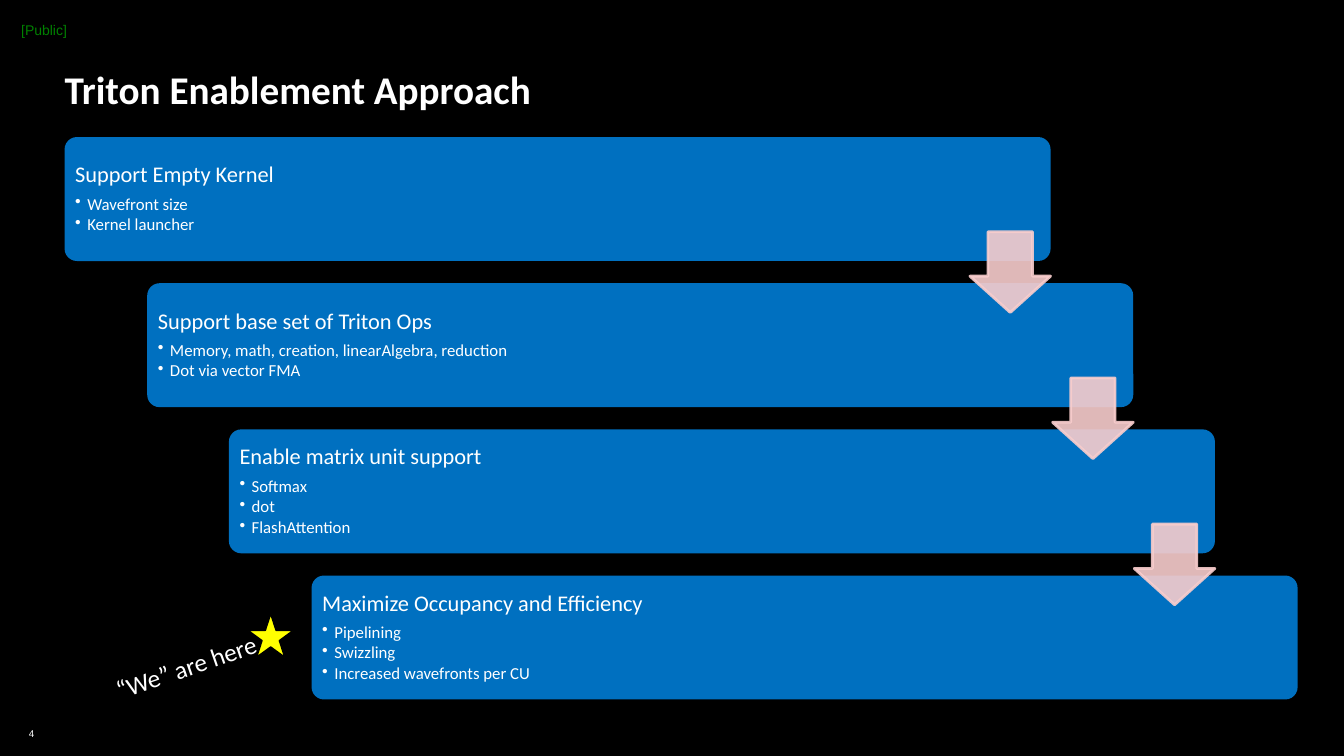
from lxml import etree
from pptx import Presentation
from pptx.dml.color import RGBColor
from pptx.enum.shapes import MSO_SHAPE as Preset
from pptx.enum.text import MSO_ANCHOR as Anchor, PP_ALIGN as Align
from pptx.oxml.ns import qn
from pptx.util import Emu, Pt

PX = 9144
BLACK = RGBColor(0, 0, 0)
WHITE = RGBColor(255, 255, 255)
GREEN = RGBColor(0, 128, 0)
BLUE = RGBColor(0, 112, 192)
PINK = RGBColor(248, 205, 205)
YELLOW = RGBColor(255, 255, 0)

STEPS = [
    ("Support Empty Kernel", ["Wavefront size", "Kernel launcher"]),
    ("Support base set of Triton Ops",
     ["Memory, math, creation, linearAlgebra, reduction", "Dot via vector FMA"]),
    ("Enable matrix unit support", ["Softmax", "dot", "FlashAttention"]),
    ("Maximize Occupancy and Efficiency",
     ["Pipelining", "Swizzling", "Increased wavefronts per CU"]),
]


def px(*lengths):
    return [Emu(length * PX) for length in lengths]


def set_frame(frame, insets=(0, 0, 0, 0), anchor=Anchor.TOP, wrap=True):
    (frame.margin_left, frame.margin_top,
     frame.margin_right, frame.margin_bottom) = px(*insets)
    frame.vertical_anchor = anchor
    frame.word_wrap = wrap


def write(paragraph, text, size=12, font="Calibri", color=WHITE, bold=False,
          align=Align.LEFT, after=0, line_spacing=None, bullet=False, spacing=None):
    run = paragraph.add_run()
    run.text = text
    run.font.size = Pt(size)
    run.font.name = font
    run.font.bold = bold
    run.font.color.rgb = color
    if spacing:
        run.font._element.set("spc", str(spacing))
    paragraph.alignment = align
    paragraph.space_after = Pt(after)
    if line_spacing:
        paragraph.line_spacing = line_spacing
    if bullet:
        paragraph.level = 1
        properties = paragraph._p.get_or_add_pPr()
        properties.set("marL", str(12 * PX))
        properties.set("indent", str(-12 * PX))
        etree.SubElement(properties, qn("a:buChar")).set("char", "•")


def add_text(slide, box, text, insets=(0, 0, 0, 0), anchor=Anchor.TOP,
             wrap=True, rotation=0, **style):
    shape = slide.shapes.add_textbox(*px(*box))
    shape.rotation = rotation
    set_frame(shape.text_frame, insets, anchor, wrap)
    write(shape.text_frame.paragraphs[0], text, **style)


def add_preset(slide, preset, box, fill, line=None, width=1, adjustments=()):
    shape = slide.shapes.add_shape(preset, *px(*box))
    shape.shadow.inherit = False
    shape.fill.solid()
    shape.fill.fore_color.rgb = fill
    if line is None:
        shape.line.fill.background()
    else:
        shape.line.color.rgb = line
        shape.line.width = Pt(width)
    for index, value in enumerate(adjustments):
        shape.adjustments[index] = value
    return shape


def add_step(slide, box, heading, bullets):
    shape = add_preset(slide, Preset.ROUNDED_RECTANGLE, box, BLUE, adjustments=[0.1])
    frame = shape.text_frame
    set_frame(frame, (7, 7, 7, 7), Anchor.MIDDLE)
    write(frame.paragraphs[0], heading, size=16, after=5.6, line_spacing=0.9)
    for text in bullets:
        write(frame.add_paragraph(), text, after=1.8, line_spacing=0.9, bullet=True)


def add_step_arrow(slide, box):
    arrow = add_preset(slide, Preset.DOWN_ARROW, box, PINK, PINK, 2, [0.55, 0.45])
    for color in arrow._element.spPr.iter(qn("a:srgbClr")):
        etree.SubElement(color, qn("a:alpha")).set("val", "90000")


def add_staircase(slide, box):
    left, top, width, height = box
    step_width, step_height, arrow_size = 978, 123, 80
    shift = (width - step_width) / (len(STEPS) - 1)
    drop = (height - step_height) / (len(STEPS) - 1)
    corners = [(round(left + i * shift), round(top + i * drop))
               for i in range(len(STEPS))]
    for (x, y), (heading, bullets) in zip(corners, STEPS):
        add_step(slide, (x, y, step_width, step_height), heading, bullets)
    for x, y in corners[:-1]:
        add_step_arrow(slide, (x + step_width - arrow_size, y + 94,
                               arrow_size, arrow_size))


def add_position_marker(slide, box):
    left, top, width, height = box
    add_preset(slide, Preset.STAR_5_POINT, (left + width - 45, top, 45, 43),
               YELLOW, BLACK)
    add_text(slide, (left, top + height - 40, 167, 40), "“We” are here",
             insets=(10, 5, 10, 5), wrap=False, rotation=341, size=18, after=6)


def add_header(slide, box):
    left, top, width, height = box
    add_text(slide, (left, top, 49, 17), "[Public]",
             size=10, font="Arial", color=GREEN)
    add_text(slide, (left + 43, top + height - 47, width - 43, 47),
             "Triton Enablement Approach", size=28, bold=True)


def add_page_number(slide, box):
    add_text(slide, box, "4", insets=(0, 4, 0, 4), anchor=Anchor.MIDDLE,
             wrap=False, size=7, font="Arial", align=Align.RIGHT, spacing=10)


def main():
    presentation = Presentation()
    presentation.slide_width, presentation.slide_height = px(1333, 750)
    slide = presentation.slides.add_slide(presentation.slide_layouts[6])
    slide.background.fill.solid()
    slide.background.fill.fore_color.rgb = BLACK
    add_page_number(slide, (21, 717, 13, 21))
    add_staircase(slide, (64, 136, 1223, 558))
    add_position_marker(slide, (102, 609, 189, 72))
    add_header(slide, (21, 21, 1248, 91))
    presentation.save("out.pptx")


if __name__ == "__main__":
    main()
